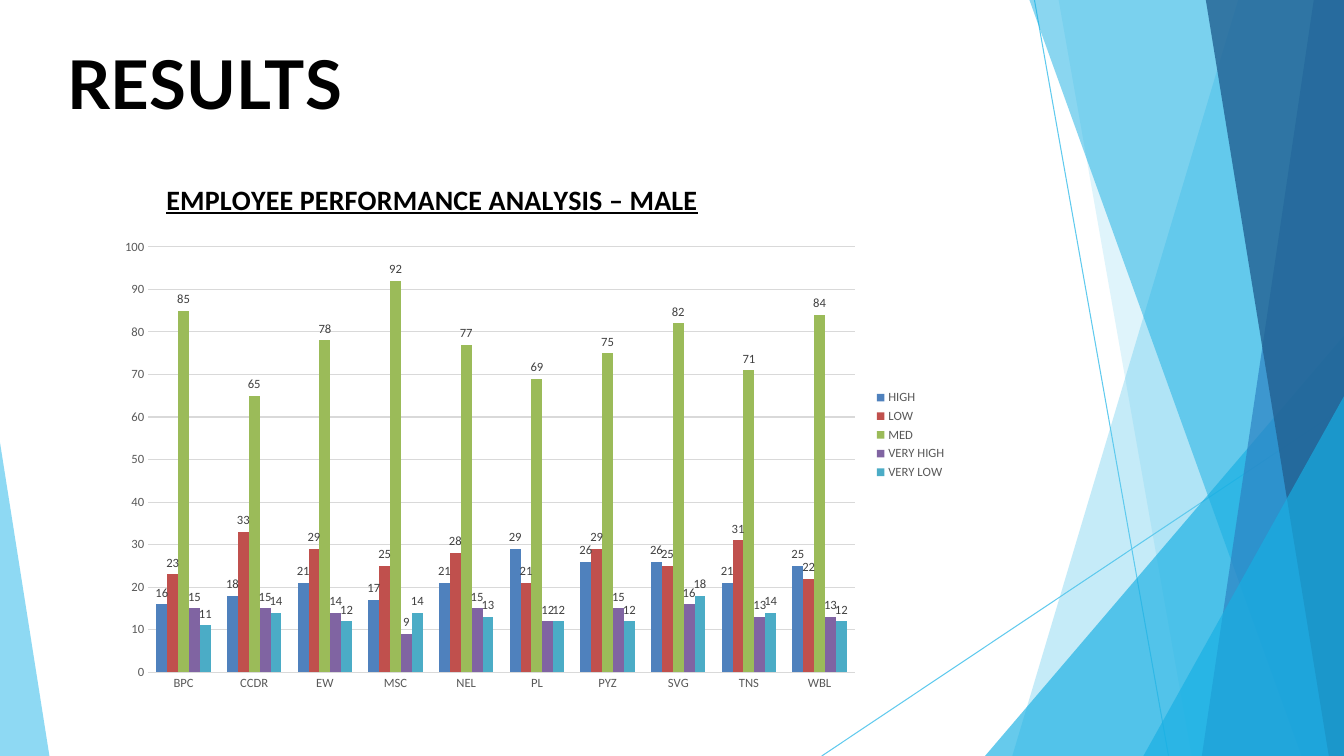
from pptx import Presentation
from pptx.chart.data import CategoryChartData
from pptx.dml.color import RGBColor
from pptx.enum.chart import XL_CHART_TYPE, XL_LABEL_POSITION, XL_LEGEND_POSITION, XL_TICK_MARK
from pptx.enum.shapes import MSO_CONNECTOR
from pptx.oxml import parse_xml
from pptx.oxml.ns import nsdecls, qn
from pptx.oxml.xmlchemy import OxmlElement
from pptx.util import Inches, Pt

WIDTH, HEIGHT = 13.33, 7.5
COLORS = {
    "sky": "5FCAEE", "cyan": "17AFE3", "blue": "2D83C3", "navy": "226192",
    "heading": "000000", "axis": "595959", "label": "404040", "grid": "D9D9D9",
    "HIGH": "4F81BD", "LOW": "C0504D", "MED": "9BBB59",
    "VERY HIGH": "8064A2", "VERY LOW": "4BACC6",
}

# Rays: start and end point
RAYS = [((10.26, 0), (11.59, HEIGHT)), ((WIDTH, 4.04), (8.15, HEIGHT))]

# Facets on the right edge: top-left x, top y, bottom-left x, color, opacity in percent
FACETS = [
    (12.28, 0, 10.04, "sky", 36),
    (10.5, 0, 11.82, "sky", 20),
    (WIDTH, 3.33, 9.77, "cyan", 66),
    (10.21, 0, 12.91, "cyan", 50),
    (13.03, 0, 11.92, "blue", 70),
    (11.96, 0, 13.18, "navy", 80),
    (WIDTH, 3.93, 11.34, "cyan", 66),
]

SITES = ["BPC", "CCDR", "EW", "MSC", "NEL", "PL", "PYZ", "SVG", "TNS", "WBL"]
RATINGS = {
    "HIGH": [16, 18, 21, 17, 21, 29, 26, 26, 21, 25],
    "LOW": [23, 33, 29, 25, 28, 21, 29, 25, 31, 22],
    "MED": [85, 65, 78, 92, 77, 69, 75, 82, 71, 84],
    "VERY HIGH": [15, 15, 14, 9, 15, 12, 15, 16, 13, 13],
    "VERY LOW": [11, 14, 12, 14, 13, 12, 12, 18, 14, 12],
}
CHART_BOX = (1.07, 1.67, 8.42, 5.29)
PLOT_BOX = (1.47, 2.45, 7.01, 4.22)
CHART_TITLE_AT = (1.6, 1.73)


def rgb(name):
    return RGBColor.from_string(COLORS[name])


class SlideBuilder:
    def __init__(self, slide, chart_font="Calibri", title_font="Lato"):
        self.slide = slide
        self.chart_font = chart_font
        self.title_font = title_font

    def style(self, font, face, size, color, bold=False):
        font.name, font.size, font.bold = face, Pt(size), bold
        font.color.rgb = rgb(color)

    def ray(self, start, end):
        ends = [Inches(value) for value in (*start, *end)]
        line = self.slide.shapes.add_connector(MSO_CONNECTOR.STRAIGHT, *ends)
        line.line.color.rgb = rgb("sky")
        line.line.width = Pt(0.75)
        line._element.spPr.append(OxmlElement("a:effectLst"))

    def facet(self, points, color, opacity):
        corners = [(Inches(x), Inches(y)) for x, y in points]
        outline = self.slide.shapes.build_freeform(*corners[0])
        outline.add_line_segments(corners[1:], close=True)
        facet = outline.convert_to_shape()
        facet.shadow.inherit = False
        facet.line.fill.background()
        facet.fill.solid()
        facet.fill.fore_color.rgb = rgb(color)
        alpha = OxmlElement("a:alpha")
        alpha.set("val", str(opacity * 1000))
        facet._element.spPr.find(qn("a:solidFill"))[0].append(alpha)

    def heading(self, text, box):
        frame = self.slide.shapes.add_textbox(*map(Inches, box)).text_frame
        frame.word_wrap = True
        frame.margin_left = frame.margin_top = frame.margin_right = frame.margin_bottom = 0
        frame.text = text
        self.style(frame.paragraphs[0].runs[0].font, self.title_font, 48, "heading", True)

    def place(self, parent, index, box, inner=False):
        """Fix a chart part at a slide position, given in inches."""
        for old in parent.findall(qn("c:layout")):
            parent.remove(old)
        left, top, width, height = CHART_BOX
        fractions = {"x": (box[0] - left) / width, "y": (box[1] - top) / height}
        if inner:
            fractions.update(w=box[2] / width, h=box[3] / height)
        target = '<c:layoutTarget val="inner"/>' if inner else ""
        modes = "".join(f'<c:{key}Mode val="edge"/>' for key in "xy")
        values = "".join(f'<c:{key} val="{value:.4f}"/>' for key, value in fractions.items())
        parent.insert(index, parse_xml(
            f'<c:layout {nsdecls("c")}><c:manualLayout>{target}{modes}{values}'
            "</c:manualLayout></c:layout>"))

    def axis(self, axis):
        axis.major_tick_mark = axis.minor_tick_mark = XL_TICK_MARK.NONE
        axis.format.line.fill.background()
        self.style(axis.tick_labels.font, self.chart_font, 9, "axis")

    def column_chart(self, title, categories, series_values):
        data = CategoryChartData()
        data.categories = categories
        for name, values in series_values.items():
            data.add_series(name, values)
        chart = self.slide.shapes.add_chart(
            XL_CHART_TYPE.COLUMN_CLUSTERED, *map(Inches, CHART_BOX), data).chart
        self.style(chart.font, self.chart_font, 10, "heading")

        chart.has_title = True
        chart.chart_title.text_frame.text = title
        title_font = chart.chart_title.text_frame.paragraphs[0].runs[0].font
        self.style(title_font, self.chart_font, 20, "heading", True)
        title_font.underline = True
        self.place(chart.chart_title._element, 1, CHART_TITLE_AT)
        self.place(chart._chartSpace.chart.plotArea, 0, PLOT_BOX, inner=True)

        self.axis(chart.category_axis)
        self.axis(chart.value_axis)
        chart.value_axis.minimum_scale, chart.value_axis.maximum_scale = 0, 100
        chart.value_axis.major_unit = 10
        grid = chart.value_axis.major_gridlines.format.line
        grid.color.rgb = rgb("grid")
        grid.width = Pt(0.75)

        chart.has_legend = True
        chart.legend.position = XL_LEGEND_POSITION.RIGHT
        chart.legend.include_in_layout = False
        self.style(chart.legend.font, self.chart_font, 9, "axis")

        plot = chart.plots[0]
        plot.gap_width, plot.overlap = 150, 0
        plot.vary_by_categories = False
        for series in plot.series:
            series.format.fill.solid()
            series.format.fill.fore_color.rgb = rgb(series.name)
            labels = series.data_labels
            labels.show_value = True
            labels.position = XL_LABEL_POSITION.OUTSIDE_END
            self.style(labels.font, self.chart_font, 9, "label")


def main():
    deck = Presentation()
    deck.slide_width, deck.slide_height = Inches(WIDTH), Inches(HEIGHT)
    builder = SlideBuilder(deck.slides.add_slide(deck.slide_layouts[6]))
    for start, end in RAYS:
        builder.ray(start, end)
    for top_x, top_y, bottom_x, color, opacity in FACETS:
        corners = [(WIDTH, top_y), (top_x, top_y), (bottom_x, HEIGHT), (WIDTH, HEIGHT)]
        builder.facet(list(dict.fromkeys(corners)), color, opacity)
    builder.facet([(0, 4.39), (0, HEIGHT), (0.49, HEIGHT)], "sky", 70)
    builder.heading("RESULTS", (0.67, 0.42, 11.84, 0.83))
    builder.column_chart("EMPLOYEE PERFORMANCE ANALYSIS – MALE", SITES, RATINGS)
    deck.save("out.pptx")


if __name__ == "__main__":
    main()
